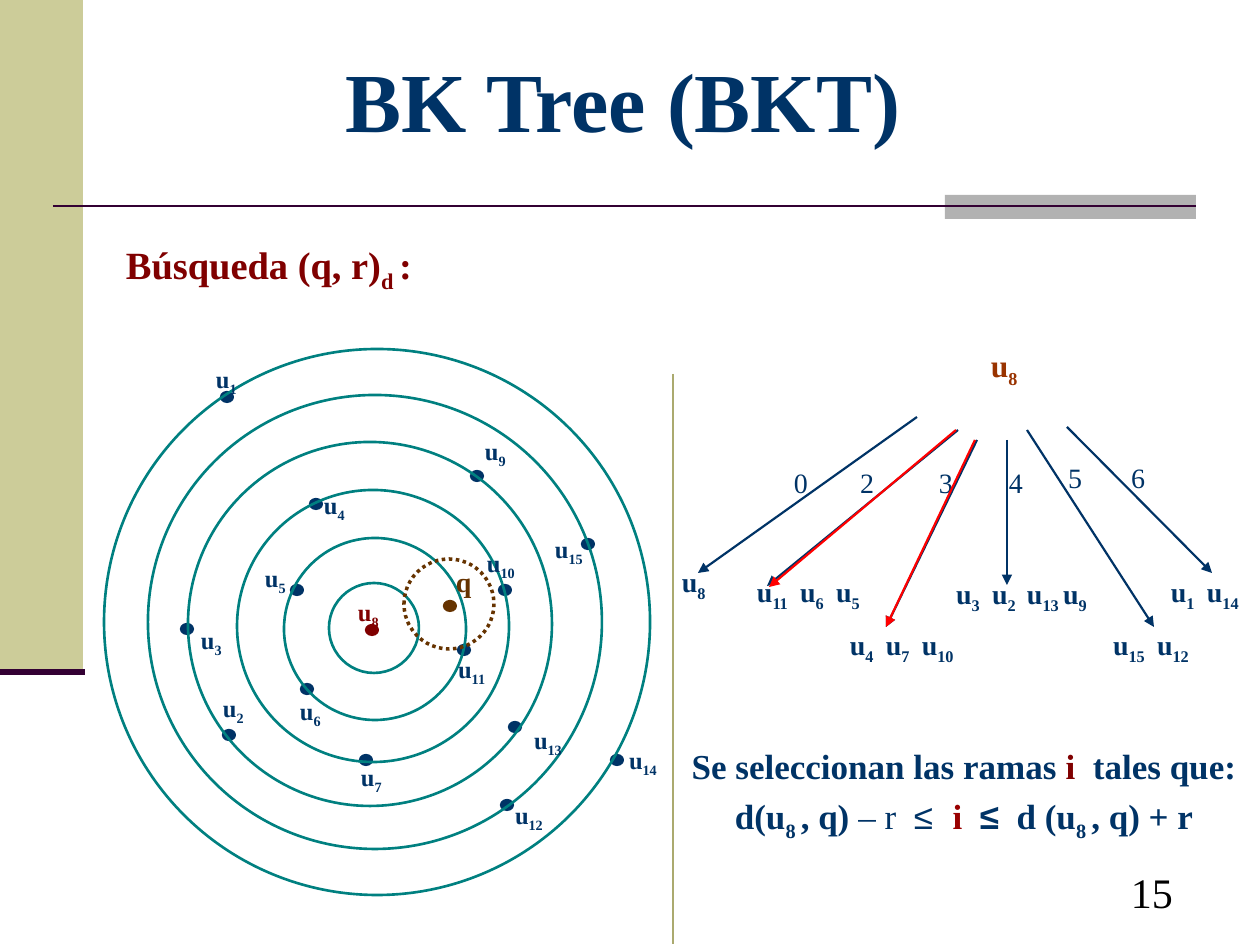
"""Build the BK Tree search slide: distance rings on the left, tree branches on the right."""
from lxml import etree
from pptx import Presentation
from pptx.dml.color import RGBColor
from pptx.enum.dml import MSO_LINE
from pptx.enum.shapes import MSO_CONNECTOR, MSO_SHAPE
from pptx.enum.text import MSO_ANCHOR, PP_ALIGN
from pptx.oxml.ns import qn
from pptx.util import Pt

PX = 914400 / 126
SERIF = "Times New Roman"
NAVY = RGBColor(0x00, 0x33, 0x66)
MAROON = RGBColor(0x80, 0x00, 0x00)
CRIMSON = RGBColor(0x99, 0x00, 0x00)
RUST = RGBColor(0x99, 0x33, 0x00)
BROWN = RGBColor(0x66, 0x33, 0x00)
TEAL = RGBColor(0x00, 0x80, 0x80)
RED = RGBColor(0xFF, 0x00, 0x00)
PLUM = RGBColor(0x33, 0x00, 0x33)
SAND = RGBColor(0xCC, 0xCC, 0x99)
OLIVE = RGBColor(0xAB, 0xAA, 0x6F)
GRAY = RGBColor(0xB2, 0xB2, 0xB2)
BLACK = RGBColor(0x00, 0x00, 0x00)
RECTANGLE, OVAL = MSO_SHAPE.RECTANGLE, MSO_SHAPE.OVAL
STRAIGHT = MSO_CONNECTOR.STRAIGHT
DOTTED = MSO_LINE.ROUND_DOT
CENTER, MIDDLE = PP_ALIGN.CENTER, MSO_ANCHOR.MIDDLE

presentation = Presentation()
presentation.slide_width, presentation.slide_height = round(1260 * PX), round(945 * PX)
slide = presentation.slides.add_slide(presentation.slide_layouts[5])
shapes = slide.shapes


def add_runs(paragraph, text, color=None, bold=None, font=None):
    """Add text as runs; every second piece between underscores is a subscript."""
    for index, piece in enumerate(text.split("_")):
        if not piece:
            continue
        run = paragraph.add_run()
        run.text = piece
        if color is not None:
            run.font.color.rgb = color
        if bold is not None:
            run.font.bold = bold
        if font:
            run.font.name = font
        if index % 2:
            run._r.get_or_add_rPr().set("baseline", "-25000")


def add_label(text, left, top, width, height, size, color=NAVY, bold=True, stops=()):
    """Add a left-aligned label without insets, with optional tab stops in px."""
    box = shapes.add_textbox(*(round(n * PX) for n in (left, top, width, height)))
    frame = box.text_frame
    frame.word_wrap = True
    frame.margin_left = frame.margin_right = frame.margin_top = frame.margin_bottom = 0
    paragraph = frame.paragraphs[0]
    if stops:
        tabs = etree.SubElement(paragraph._p.get_or_add_pPr(), qn("a:tabLst"))
        for stop in stops:
            etree.SubElement(tabs, qn("a:tab"), pos=str(round(stop * PX)), algn="l")
    font = paragraph.font
    font.name, font.size, font.bold = SERIF, Pt(size), bold
    font.color.rgb = color
    add_runs(paragraph, text)


title = shapes.title
title.left, title.top, title.width, title.height = (
    round(n * PX) for n in (328, 42, 590, 113))
title.text_frame.word_wrap = False
title.text_frame.vertical_anchor = MIDDLE
title.text_frame.text = "BK Tree (BKT)"
paragraph = title.text_frame.paragraphs[0]
paragraph.alignment = CENTER
paragraph.font.name, paragraph.font.size, paragraph.font.bold = SERIF, Pt(48), True
paragraph.font.color.rgb = NAVY

for left, top, width, height, color in [(0, 0, 83, 670, SAND), (945, 195, 251, 24, GRAY)]:
    shape = shapes.add_shape(RECTANGLE, *(round(n * PX) for n in (left, top, width, height)))
    shape.shadow.inherit = False
    shape.fill.solid()
    shape.fill.fore_color.rgb = color
    shape.line.fill.background()

node_dots = [
    (227, 397), (316, 504), (297, 590), (187, 629), (307, 689), (366, 760), (477, 476),
    (588, 544), (464, 650), (515, 727), (507, 805), (229, 735), (505, 590), (617, 760),
]
rings = [(374, 628, 45), (375, 629, 91), (373, 626, 136),
         (370, 624, 182), (375, 622, 227), (377, 622, 273)]
ellipses = [(x, y, 6, 5, NAVY, NAVY, 1.25) for x, y in node_dots]
ellipses += [(372, 630, 6, 5, MAROON, MAROON, 1.25), (450, 606, 6, 5, BROWN, BROWN, 1.25)]
ellipses += [(x, y, radius, radius, None, TEAL, 1.5) for x, y, radius in rings]
ellipses += [(449, 604, 45, 45, None, BROWN, 2)]
for x, y, radius_x, radius_y, fill, color, weight in ellipses:
    bounds = (x - radius_x, y - radius_y, 2 * radius_x, 2 * radius_y)
    shape = shapes.add_shape(OVAL, *(round(n * PX) for n in bounds))
    shape.shadow.inherit = False
    if fill is None:
        shape.fill.background()
    else:
        shape.fill.solid()
        shape.fill.fore_color.rgb = fill
    shape.line.color.rgb = color
    shape.line.width = Pt(weight)
shape.line.dash_style = DOTTED

node_labels = [
    ("1", 216, 364), ("2", 223, 693), ("3", 201, 625), ("4", 324, 490), ("5", 265, 563),
    ("6", 300, 696), ("7", 361, 762), ("9", 485, 436), ("10", 487, 548), ("11", 458, 654),
    ("12", 515, 800), ("13", 534, 725), ("14", 629, 745), ("15", 555, 534),
]
for number, left, top in node_labels:
    add_label(f"u_{number}", left, top, 16 + 8 * len(number), 34, 14)
add_label("u_8", 358, 597, 24, 34, 14, MAROON)
add_label("q", 456, 564, 20, 34, 16, BROWN)
add_label("Búsqueda (q, r)_d _:", 126, 241, 350, 54, 22, MAROON)

leaf_rows = [
    ("8", 682, 565, ()), ("11 6 5", 757, 575, (43, 79)), ("4 7 10", 850, 628, (36, 72)),
    ("3 2 13 9", 956, 577, (36, 71, 107)), ("15 12", 1113, 628, (44,)),
    ("1 14", 1171, 575, (36,)),
]
for numbers, left, top, stops in leaf_rows:
    text = "\t".join(f"u_{number}_" for number in numbers.split())
    add_label(text, left, top, 40 + max(stops, default=0), 39, 16, stops=stops)
add_label("u_8", 991, 346, 40, 43, 18, RUST)

for number, left, top in [("0", 794, 466), ("2", 860, 466), ("3", 939, 466),
                          ("4", 1009, 466), ("5", 1068, 461), ("6", 1131, 461)]:
    add_label(number, left, top, 20, 34, 16, bold=False)
add_label("15", 1131, 867, 60, 49, 24, BLACK, False)

lines = [
    (53, 206, 1196, 206, PLUM, 1.5, False),
    (0, 672, 85, 672, PLUM, 3.5, False),
    (673, 374, 673, 944, OLIVE, 1.25, False),
]
branches = [
    (917, 417, 698, 573, NAVY), (958, 430, 767, 586, NAVY), (977, 440, 886, 627, NAVY),
    (1007, 440, 1007, 585, NAVY), (1027, 430, 1154, 627, NAVY), (1067, 427, 1212, 573, NAVY),
    (956, 430, 769, 587, RED), (975, 440, 886, 627, RED),
]
lines += [(*branch, 1.25, True) for branch in branches]
for x1, y1, x2, y2, color, weight, arrow in lines:
    connector = shapes.add_connector(STRAIGHT, *(round(n * PX) for n in (x1, y1, x2, y2)))
    connector.line.color.rgb = color
    connector.line.width = Pt(weight)
    if arrow:
        etree.SubElement(connector.line._get_or_add_ln(), qn("a:tailEnd"), type="triangle")
    etree.SubElement(connector._element.spPr, qn("a:effectLst"))

rule_box = shapes.add_textbox(*(round(n * PX) for n in (679, 738, 570, 111)))
rule_frame = rule_box.text_frame
rule_frame.word_wrap = False
rule_lines = [
    [("Se seleccionan las ramas ",), ("i ", MAROON), (" tales que:",)],
    [("d(u_8 _, q) ",), ("– r  ", None, False), ("≤  ", None, False, "Arial"),
     ("i  ", CRIMSON), ("≤", None, None, "Arial"), ("  d (u_8 _, q) + r",)],
]
for index, pieces in enumerate(rule_lines):
    paragraph = rule_frame.add_paragraph() if index else rule_frame.paragraphs[0]
    paragraph.alignment = CENTER
    paragraph.space_after = Pt(5)
    paragraph.font.name, paragraph.font.size, paragraph.font.bold = SERIF, Pt(20), True
    paragraph.font.color.rgb = NAVY
    for piece in pieces:
        add_runs(paragraph, *piece)

presentation.save("out.pptx")
